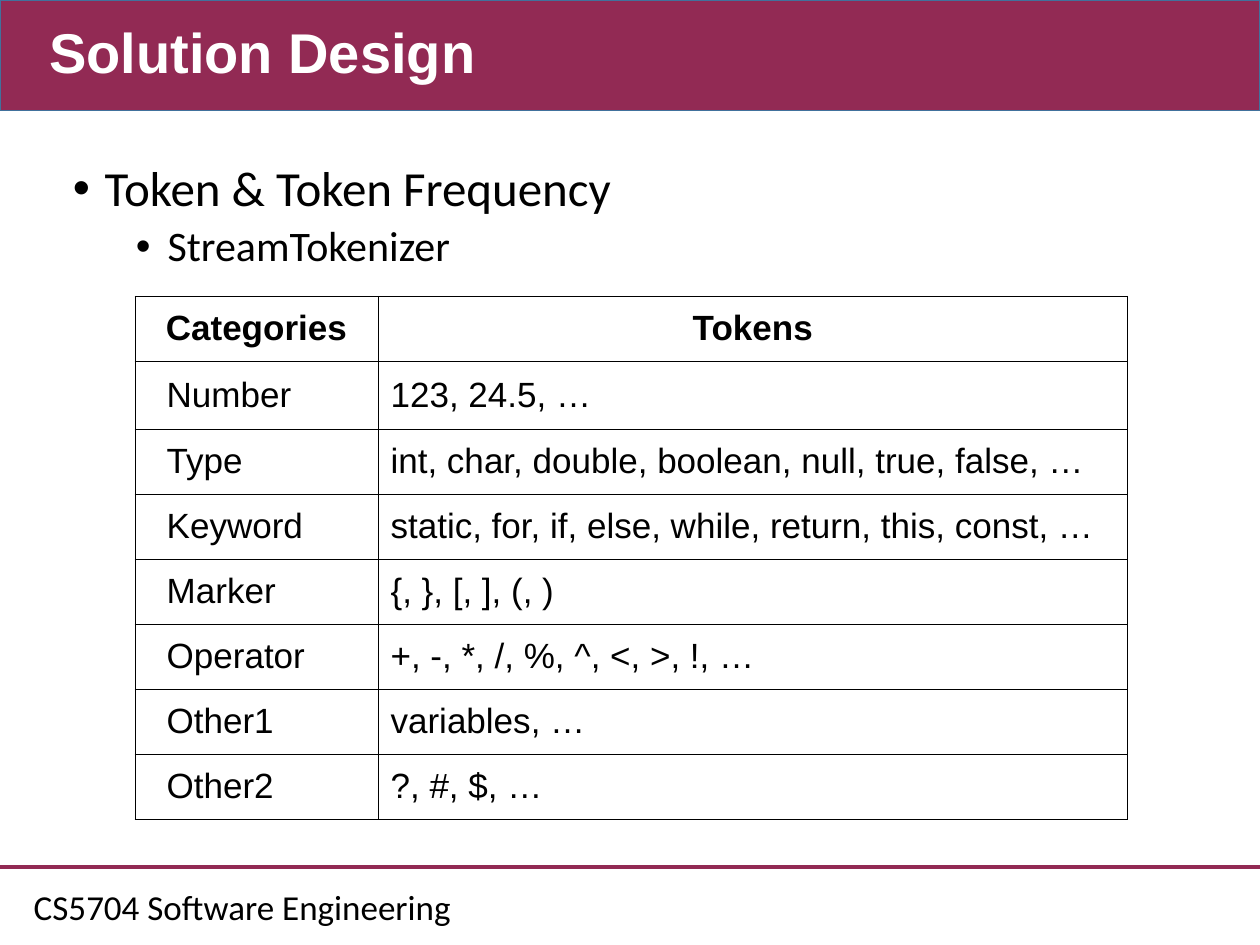
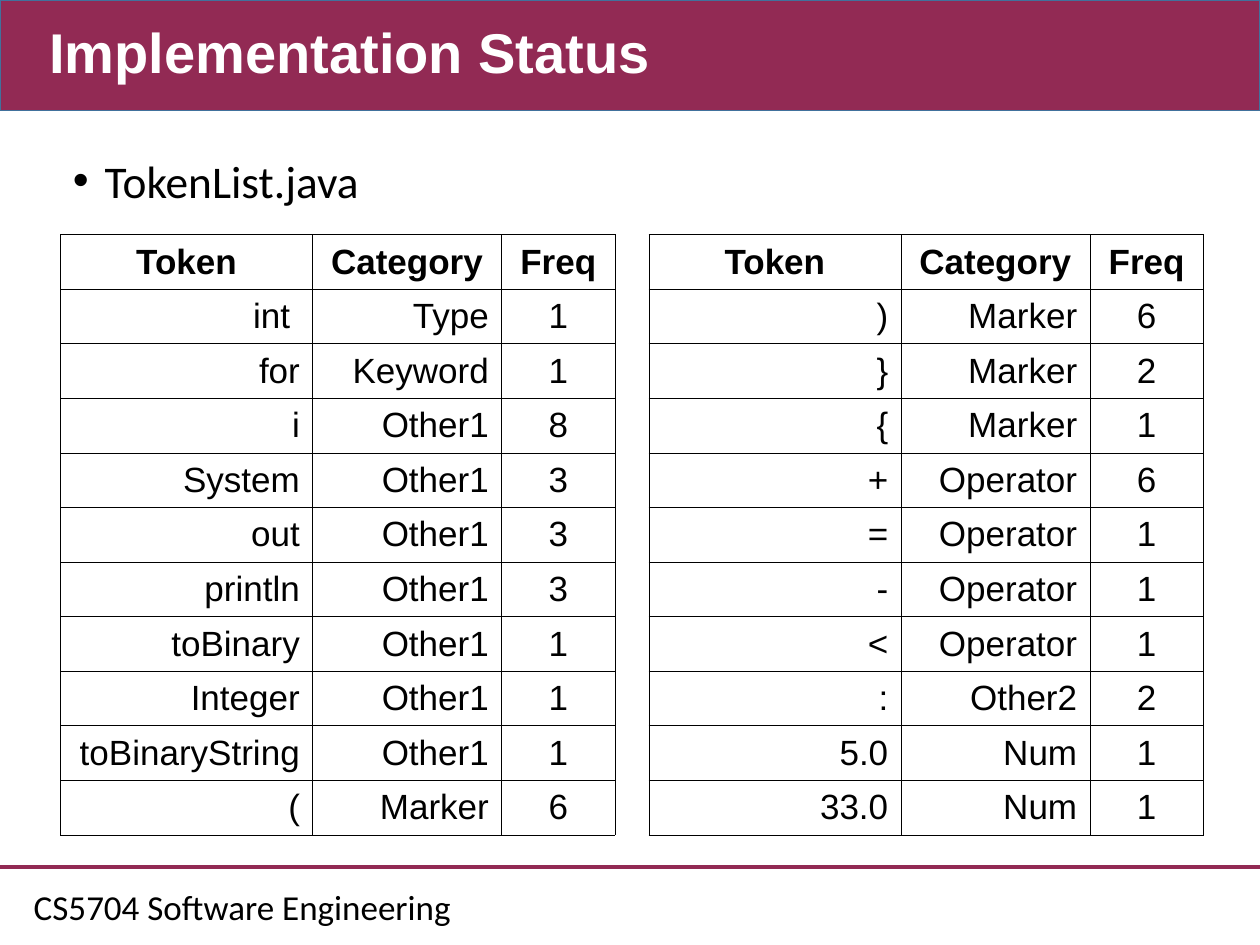
from lxml.etree import SubElement
from pptx import Presentation
from pptx.dml.color import RGBColor
from pptx.enum.shapes import MSO_CONNECTOR as Connector, MSO_SHAPE as Shape
from pptx.enum.text import MSO_ANCHOR as Anchor, MSO_AUTO_SIZE as AutoSize, PP_ALIGN as Align
from pptx.oxml.ns import qn
from pptx.util import Cm, Pt

COLORS = {"maroon": "922A54", "outline": "41719C", "black": "000000", "white": "FFFFFF"}
HEADING_FONT, BODY_FONT = "Arial", "Calibri"
WIDTH, HEIGHT, BAND_HEIGHT = Cm(25.4), Cm(19.05), Cm(2.23)
FOOTER = "CS5704 Software Engineering"

TOKEN_CATEGORIES = [
    ("Categories", "Tokens"),
    ("Number", "123, 24.5, …"),
    ("Type", "int, char, double, boolean, null, true, false, …"),
    ("Keyword", "static, for, if, else, while, return, this, const, …"),
    ("Marker", "{, }, [, ], (, )"),
    ("Operator", "+, -, *, /, %, ^, <, >, !, …"),
    ("Other1", "variables, …"),
    ("Other2", "?, #, $, …"),
]
FREQUENCY_HEADER = ("Token", "Category", "Freq")
FREQUENCIES = [
    [("int ", "Type", 1), ("for", "Keyword", 1), ("i", "Other1", 8),
     ("System", "Other1", 3), ("out", "Other1", 3), ("println", "Other1", 3),
     ("toBinary", "Other1", 1), ("Integer", "Other1", 1),
     ("toBinaryString", "Other1", 1), ("(", "Marker", 6)],
    [(")", "Marker", 6), ("}", "Marker", 2), ("{", "Marker", 1),
     ("+", "Operator", 6), ("=", "Operator", 1), ("-", "Operator", 1),
     ("<", "Operator", 1), (":", "Other2", 2), ("5.0", "Num", 1), ("33.0", "Num", 1)],
]


def color(name):
    return RGBColor.from_string(COLORS[name])


def write(paragraph, text, size=20, font=BODY_FONT, fill="black", bold=False,
          align=Align.LEFT, spacing=None, before=None):
    run = paragraph.add_run()
    run.text = text
    run.font.size, run.font.name, run.font.bold = Pt(size), font, bold
    run.font.color.rgb = color(fill)
    paragraph.alignment = align
    if spacing:
        paragraph.line_spacing = spacing
    if before:
        paragraph.space_before = Pt(before)


def add_bullet(paragraph, level):
    paragraph.level = level
    properties = paragraph._p.get_or_add_pPr()
    properties.set("marL", str(Cm(0.64 + 1.27 * level)))
    properties.set("indent", str(-Cm(0.64)))
    bullet_color = SubElement(properties, qn("a:buClr"))
    SubElement(bullet_color, qn("a:srgbClr"), val=COLORS["black"])
    SubElement(properties, qn("a:buFont"), typeface=HEADING_FONT)
    SubElement(properties, qn("a:buChar"), char="•")


def add_borders(cell, width=0.45):
    properties = cell._tc.get_or_add_tcPr()
    for side in ("lnL", "lnR", "lnT", "lnB"):
        line = SubElement(properties, qn(f"a:{side}"), w=str(Pt(width)))
        fill = SubElement(line, qn("a:solidFill"))
        SubElement(fill, qn("a:srgbClr"), val=COLORS["black"])


class Deck:
    def __init__(self):
        self.presentation = Presentation()
        self.presentation.slide_width = WIDTH
        self.presentation.slide_height = HEIGHT
        self.slide = None

    def start_slide(self, title):
        self.slide = self.presentation.slides.add_slide(self.presentation.slide_layouts[5])
        self.band()
        self.rule(Cm(17.47))
        footer = self.text_box(Cm(0.43), Cm(17.73), Cm(12.27), Cm(1.12))
        footer.auto_size = AutoSize.SHAPE_TO_FIT_TEXT
        write(footer.paragraphs[0], FOOTER)
        self.title(title)

    def band(self):
        band = self.slide.shapes.add_shape(Shape.RECTANGLE, 0, 0, WIDTH, BAND_HEIGHT)
        band.shadow.inherit = False
        band.fill.solid()
        band.fill.fore_color.rgb = color("maroon")
        band.line.color.rgb = color("outline")
        band.line.width = Pt(1)

    def rule(self, top):
        rule = self.slide.shapes.add_connector(Connector.STRAIGHT, 0, top, WIDTH, top)
        rule.line.color.rgb = color("maroon")
        rule.line.width = Pt(2.25)
        SubElement(rule.element.spPr, qn("a:effectLst"))

    def title(self, text):
        title = self.slide.shapes.title
        title.left, title.top = Cm(0.74), 0
        title.width, title.height = WIDTH - Cm(0.74), BAND_HEIGHT
        title.element.getparent().append(title.element)
        frame = title.text_frame
        frame.auto_size = AutoSize.NONE
        frame.vertical_anchor = Anchor.MIDDLE
        write(frame.paragraphs[0], text, size=32, font=HEADING_FONT, fill="white",
              bold=True, spacing=0.9)

    def text_box(self, left, top, width, height):
        frame = self.slide.shapes.add_textbox(left, top, width, height).text_frame
        frame.word_wrap = True
        return frame

    def bullets(self, items, width, height, spacing=0.9):
        frame = self.text_box(Cm(1.22), Cm(3.18), width, height)
        for level, (text, size) in enumerate(items):
            paragraph = frame.add_paragraph() if level else frame.paragraphs[0]
            add_bullet(paragraph, level)
            write(paragraph, text, size=size, spacing=spacing, before=5 if level else None)

    def table(self, rows, left, top, widths, row_height, aligns, first_margin=Cm(0.25)):
        frame = self.slide.shapes.add_table(len(rows), len(widths), left, top,
                                            sum(widths), row_height * len(rows))
        table = frame.table
        table.first_row = table.horz_banding = False
        for column, width in zip(table.columns, widths):
            column.width = width
        for row_index, values in enumerate(rows):
            table.rows[row_index].height = row_height
            header = row_index == 0
            for column_index, value in enumerate(values):
                cell = table.cell(row_index, column_index)
                add_borders(cell)
                cell.fill.background()
                cell.vertical_anchor = Anchor.MIDDLE
                if column_index == 0 and not header:
                    cell.margin_left = first_margin
                write(cell.text_frame.paragraphs[0], str(value), font=HEADING_FONT,
                      bold=header, align=Align.CENTER if header else aligns[column_index])
        return table


def add_solution_design(deck):
    deck.start_slide("Solution Design")
    deck.bullets([("Token & Token Frequency", 28), ("StreamTokenizer", 24)],
                 Cm(22.96), Cm(13.67))
    table = deck.table(TOKEN_CATEGORIES, Cm(2.72), Cm(5.97), [Cm(4.9), Cm(15.11)],
                       Cm(1.31), [Align.LEFT, Align.LEFT], first_margin=Cm(0.64))
    table.rows[1].height = Cm(1.37)


def add_implementation_status(deck):
    deck.start_slide("Implementation Status")
    for index, rows in enumerate(FREQUENCIES):
        deck.table([FREQUENCY_HEADER] + rows, Cm(1.22 + 11.86 * index), Cm(4.73),
                   [Cm(5.08), Cm(3.81), Cm(2.29)], Cm(1.1),
                   [Align.RIGHT, Align.RIGHT, Align.CENTER])
    deck.bullets([("TokenList.java", 25.9)], Cm(7.92), Cm(1.19), spacing=0.8)


def main():
    deck = Deck()
    add_solution_design(deck)
    add_implementation_status(deck)
    deck.presentation.save("out.pptx")


if __name__ == "__main__":
    main()
